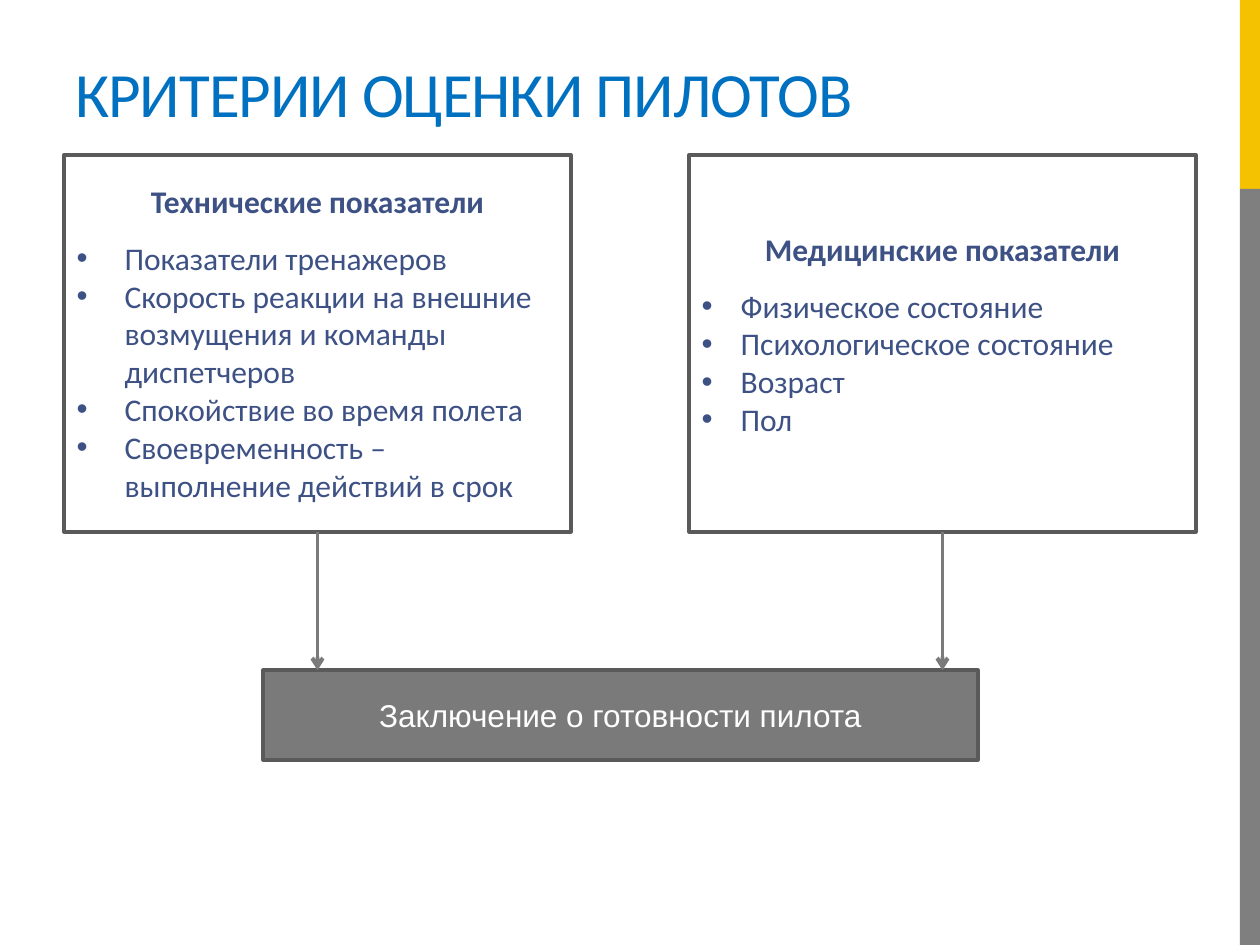
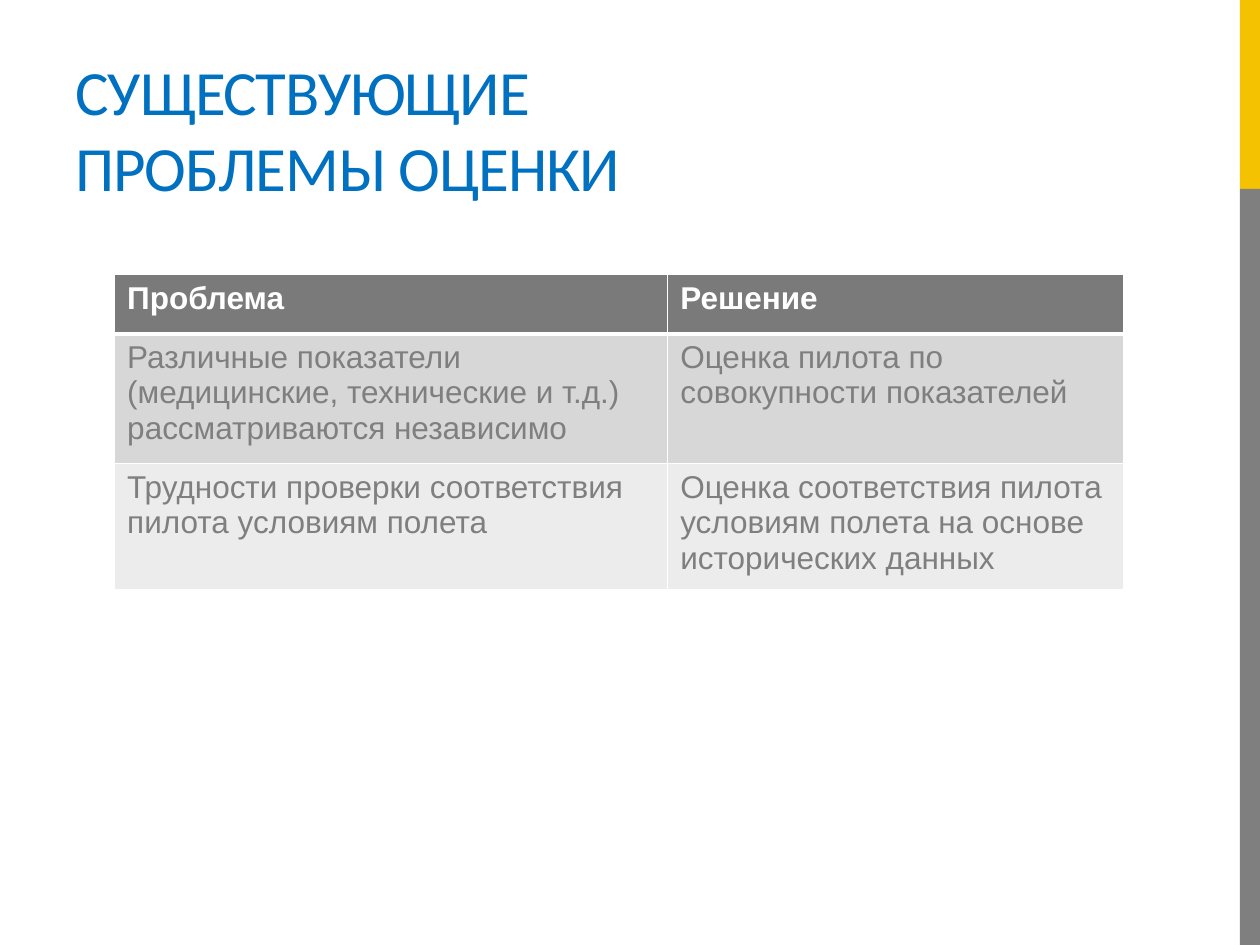
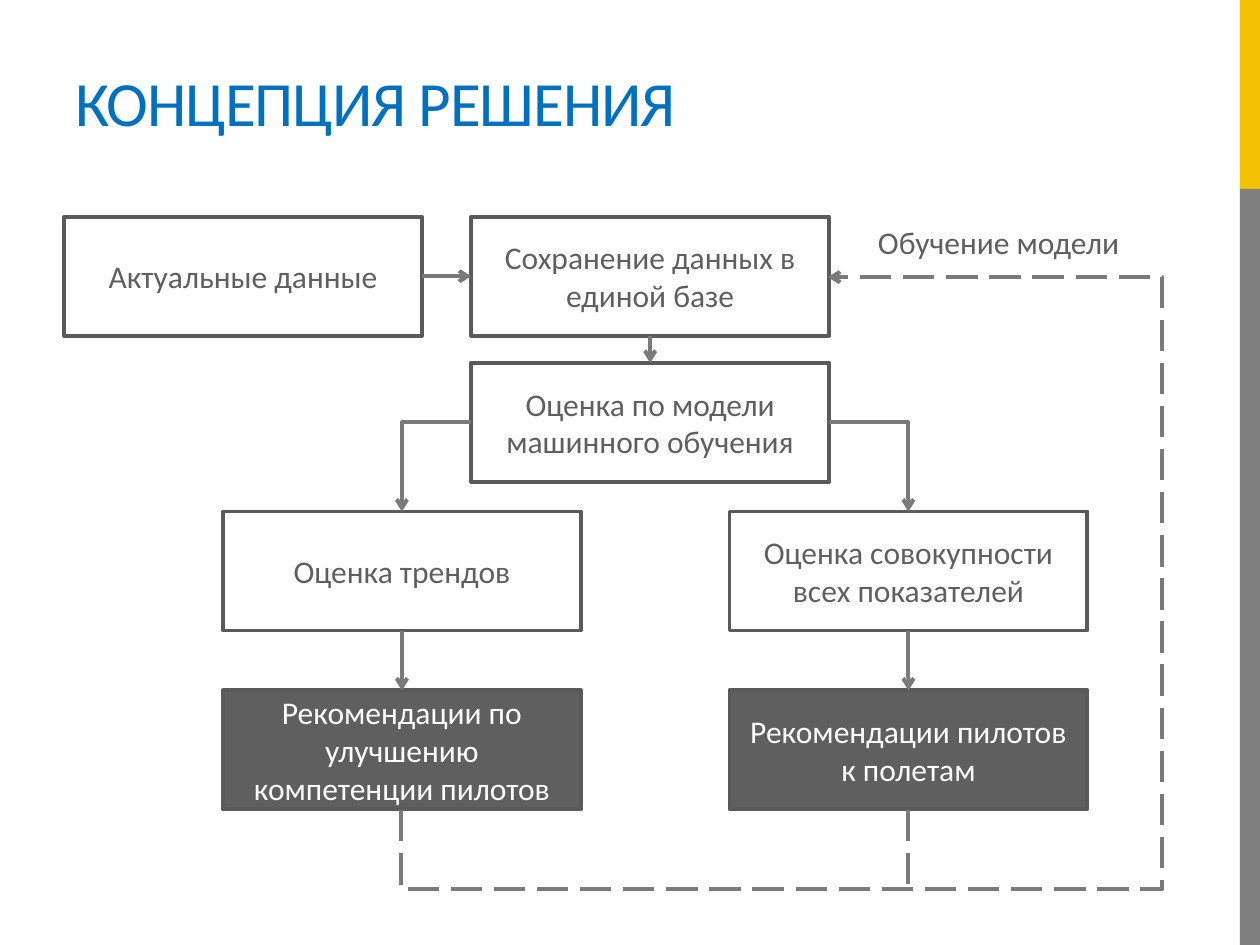
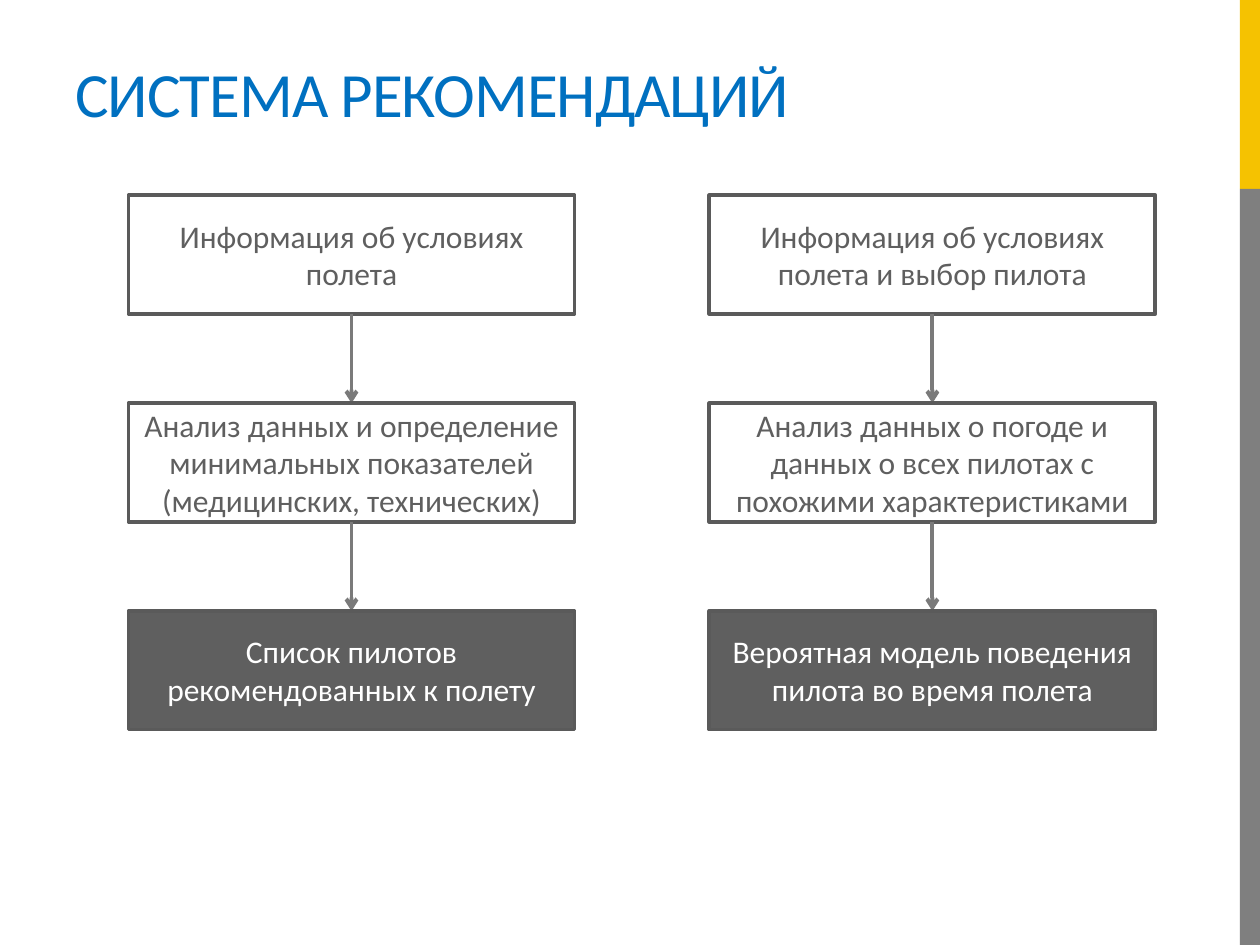
from dataclasses import dataclass
from lxml import etree
from pptx import Presentation
from pptx.dml.color import RGBColor
from pptx.enum.dml import MSO_LINE
from pptx.enum.shapes import MSO_CONNECTOR, MSO_SHAPE
from pptx.enum.text import MSO_ANCHOR, PP_ALIGN
from pptx.oxml.ns import qn
from pptx.util import Inches, Pt

RECT = MSO_SHAPE.RECTANGLE
LINE, ELBOW = MSO_CONNECTOR.STRAIGHT, MSO_CONNECTOR.ELBOW
DASH = MSO_LINE.LONG_DASH
LEFT, MID = PP_ALIGN.LEFT, PP_ALIGN.CENTER
TOP, CORE, LOW = MSO_ANCHOR.TOP, MSO_ANCHOR.MIDDLE, MSO_ANCHOR.BOTTOM


@dataclass
class Theme:
    head: str = "Calibri"
    body: str = "Arial"
    big: float = 36
    text: float = 18
    rule: float = 2.25
    blue: str = "0070C0"
    navy: str = "3D5185"
    gold: str = "F5C201"
    gray: str = "7F7F7F"
    mid: str = "7A7A7A"
    dark: str = "5F5F5F"
    edge: str = "5A5A5A"
    pale: str = "D7D7D7"
    faint: str = "ECECEC"
    white: str = "FFFFFF"


T = Theme()
deck = Presentation()
deck.slide_width, deck.slide_height = Inches(10), Inches(7.5)
U = deck.slide_width / 100  # the grid: 100 columns by 75 rows


def box(page, x, y, w, h, text="", fill=None, edge=None, ink=T.dark,
        size=T.text, face=T.head, align=MID, anchor=CORE):
    """A filled rectangle, or a plain text box when there is no fill."""
    area = [round(v * U) for v in (x, y, w, h)]
    if fill:
        item = page.shapes.add_shape(RECT, *area)
        item.shadow.inherit = False
        item.fill.solid()
        item.fill.fore_color.rgb = RGBColor.from_string(fill)
        if edge:
            item.line.color.rgb = RGBColor.from_string(edge)
            item.line.width = Pt(T.rule)
        else:
            item.line.fill.background()
    else:
        item = page.shapes.add_textbox(*area)
    frame = item.text_frame
    frame.word_wrap = True
    frame.vertical_anchor = anchor
    if text:
        frame.text = text
    for para in frame.paragraphs:
        para.alignment = align
        para.font.name, para.font.size = face, Pt(size)
        para.font.color.rgb = RGBColor.from_string(ink)
    return item


def link(page, x1, y1, x2, y2, kind=LINE, preset=None, dash=False, arrow=True):
    """A connector, with an arrowhead at its end unless told otherwise."""
    ends = [round(v * U) for v in (x1, y1, x2, y2)]
    item = page.shapes.add_connector(kind, *ends)
    item.line.color.rgb = RGBColor.from_string(T.mid)
    item.line.width = Pt(T.rule)
    if dash:
        item.line.dash_style = DASH
    props = item._element.spPr
    if arrow:
        etree.SubElement(props.find(qn("a:ln")), qn("a:tailEnd"), type="arrow")
    etree.SubElement(props, qn("a:effectLst"))
    if preset:
        props.find(qn("a:prstGeom")).set("prst", preset)
    return item


# Shared by all slides: side bands and title (text, width, height)
pages = []
for text, wide, high in [
    ("КРИТЕРИИ ОЦЕНКИ ПИЛОТОВ", 73.3, 9.1),
    ("СУЩЕСТВУЮЩИЕ ПРОБЛЕМЫ ОЦЕНКИ", 63.3, 15),
    ("КОНЦЕПЦИЯ РЕШЕНИЯ", 63.3, 9.8),
    ("СИСТЕМА РЕКОМЕНДАЦИЙ", 63.3, 9.1),
]:
    page = deck.slides.add_slide(deck.slide_layouts[6])
    box(page, 98.4, 0, 1.6, 15, fill=T.gold)
    box(page, 98.4, 15, 1.6, 60, fill=T.gray)
    title = box(page, 5, 1.7, wide, high, text, ink=T.blue, size=T.big,
                align=LEFT, anchor=LOW)
    title.text_frame.paragraphs[0].font._element.set("spc", "-60")
    pages.append(page)
rate, issue, plan, guide = pages

# Slide 1: two lists lead to one verdict (left, indent, foot inset, lines)
wide, high, top, floor = 40.2, 29.9, 12.3, 53.2
for x, dent, foot, lines in [
    (54.7, 0.31, 0.35, ["Медицинские показатели", "Физическое состояние",
                        "Психологическое состояние", "Возраст", "Пол"]),
    (5.1, 0.38, 0.21, ["Технические показатели", "Показатели тренажеров",
                       "Скорость реакции на внешние возмущения и команды "
                       "диспетчеров",
                       "Спокойствие во время полета",
                       "Своевременность – выполнение действий в срок"]),
]:
    card = box(rate, x, top, wide, high, "\n".join(lines), T.white, T.edge,
               T.navy, align=LEFT)
    card.text_frame.margin_bottom = Inches(foot)
    name, *items = card.text_frame.paragraphs
    name.alignment, name.font.bold = MID, True
    name.line_spacing = items[0].line_spacing = 1.5
    for para in items:
        props = para._p.get_or_add_pPr()
        props.set("marL", str(Inches(dent)))
        props.set("indent", str(-Inches(dent)))
        mark = etree.Element(qn("a:buFont"), typeface=T.body)
        sign = etree.Element(qn("a:buChar"), char="•")
        for node in (mark, sign):
            props.find(qn("a:defRPr")).addprevious(node)
box(rate, 20.9, floor, 56.7, 7.1, "Заключение о готовности пилота",
    T.mid, T.edge, T.white, face=T.body)
for x in (25.2, 74.8):
    link(rate, x, top + high, x, floor)

# Slide 2: table of problems and solutions
rows = [
    ("Проблема", "Решение"),
    ("Различные показатели (медицинские, технические и т.д.) "
     "рассматриваются независимо",
     "Оценка пилота по совокупности показателей"),
    ("Трудности проверки соответствия пилота условиям полета",
     "Оценка соответствия пилота условиям полета на основе "
     "исторических данных"),
]
cols, highs = (43.9, 36.2), (4.7, 10.3, 8.1)
area = [round(v * U) for v in (9.1, 21.8, sum(cols), sum(highs))]
grid = issue.shapes.add_table(len(rows), len(cols), *area).table
for col, wide in zip(grid.columns, cols):
    col.width = round(wide * U)
for r, (texts, high, fill) in enumerate(
        zip(rows, highs, (T.mid, T.pale, T.faint))):
    grid.rows[r].height = round(high * U)
    for c, text in enumerate(texts):
        cell = grid.cell(r, c)
        cell.text = text
        font = cell.text_frame.paragraphs[0].font
        font.name, font.size, font.bold = T.body, Pt(T.text), r == 0
        font.color.rgb = RGBColor.from_string(T.gray if r else T.white)
        props = cell._tc.get_or_add_tcPr()
        for side in "LRTB":
            thick = 3 if (r, side) in ((0, "B"), (1, "T")) else 1
            edge = etree.SubElement(props, qn("a:ln" + side), w=str(Pt(thick)))
            paint = etree.SubElement(edge, qn("a:solidFill"))
            etree.SubElement(paint, qn("a:srgbClr"), val=T.white)
        cell.fill.solid()
        cell.fill.fore_color.rgb = RGBColor.from_string(fill)

# Slide 3: flow of data, boxes first
wide, high = 28.4, 9.45
half, rise = wide / 2, high / 2
start, core, left, right = 5.1, 37.4, 17.7, 57.9
store, model, score, advice = 17.2, 28.8, 40.6, 54.8
for x, y, text in [
    (core, store, "Сохранение данных в единой базе"),
    (start, store, "Актуальные данные"),
    (core, model, "Оценка по модели машинного обучения"),
    (left, score, "Оценка трендов"),
    (right, score, "Оценка совокупности всех показателей"),
    (left, advice, "Рекомендации по улучшению компетенции пилотов"),
    (right, advice, "Рекомендации пилотов к полетам"),
]:
    last = y == advice
    box(plan, x, y, wide, high, text, T.dark if last else T.white, T.edge,
        T.white if last else T.dark)

# Arrows between the boxes
link(plan, start + wide, store + rise, core, store + rise)
link(plan, core + half, store + high, core + half, model)
for x, side in ((left, core), (right, core + wide)):
    link(plan, side, model + rise, x + half, score, ELBOW, "bentConnector2")
    link(plan, x + half, score + high, x + half, advice)

# Dashed way back to the store: a quarter turn of a four-part elbow
box(plan, 68.7, 17.2, 24.4, 4, "Обучение модели", align=LEFT, anchor=TOP)
link(plan, right + half, advice + high, right + half, 70.6,
     dash=True, arrow=False)
back = link(plan, 69.9, 60.1, 27.6, 26.2, ELBOW, "bentConnector4", dash=True)
props = back._element.spPr
props.find(qn("a:xfrm")).set("rot", str(90 * 60000))
shape = props.find(qn("a:prstGeom"))
bends = shape.find(qn("a:avLst"))
if bends is None:
    bends = etree.SubElement(shape, qn("a:avLst"))
for name, share in (("adj1", -14900), ("adj2", 178300)):
    etree.SubElement(bends, qn("a:gd"), name=name, fmla=f"val {share}")

# Slide 4: two chains of three steps
wide, high, top, step = 35.4, 9.4, 15.5, 16.5
for x, texts in [
    (10.2, ["Информация об условиях полета",
            "Анализ данных и определение минимальных показателей "
            "(медицинских, технических)",
            "Список пилотов рекомендованных к полету"]),
    (56.3, ["Информация об условиях полета и выбор пилота",
            "Анализ данных о погоде и данных о всех пилотах с похожими "
            "характеристиками",
            "Вероятная модель поведения пилота во время полета"]),
]:
    for i, text in enumerate(texts):
        y, last = top + i * step, i == len(texts) - 1
        box(guide, x, y, wide, high, text, T.dark if last else T.white,
            T.edge, T.white if last else T.dark)
        if not last:
            link(guide, x + wide / 2, y + high, x + wide / 2, y + step)

deck.save("out.pptx")
